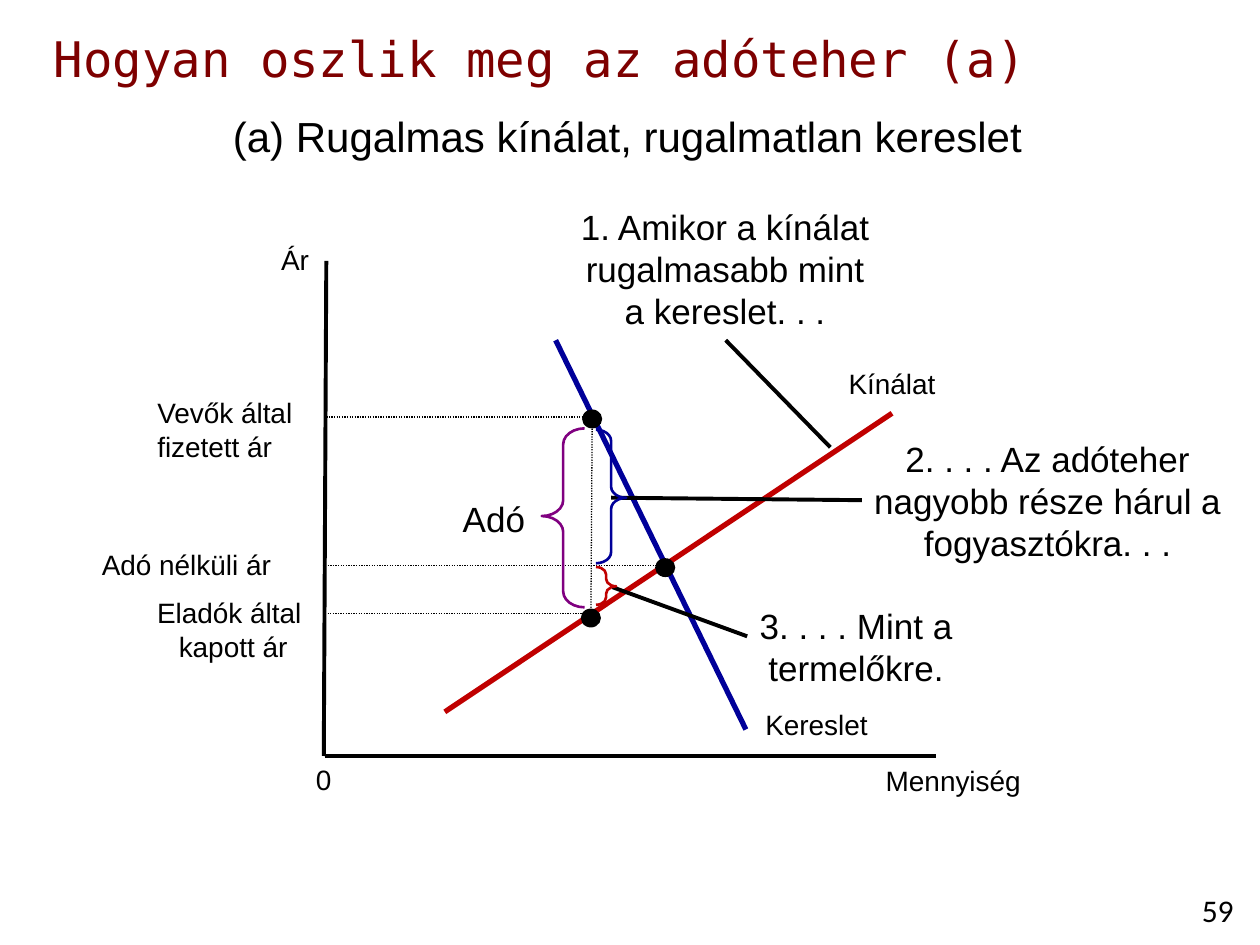
import pptx
import pptx.util
import pptx.dml.color
import pptx.enum.dml
import pptx.enum.shapes
import pptx.enum.text
import pptx.oxml.ns
import lxml.etree

Inches, Pt = pptx.util.Inches, pptx.util.Pt
SHAPE = pptx.enum.shapes.MSO_SHAPE
ALIGN = pptx.enum.text.PP_ALIGN
ANCHOR = pptx.enum.text.MSO_ANCHOR
FIT = pptx.enum.text.MSO_AUTO_SIZE.SHAPE_TO_FIT_TEXT
DOTS = pptx.enum.dml.MSO_LINE.ROUND_DOT
SIDES = {"l": ALIGN.LEFT, "c": ALIGN.CENTER, "r": ALIGN.RIGHT}

COLORS = {"ink": "000000", "paper": "FFFFFF", "title": "7E0000",
          "demand": "000099", "supply": "C00000", "tax": "800080"}


def tint(name):
    return pptx.dml.color.RGBColor.from_string(COLORS[name])


def put(item, values):
    for key, value in values.items():
        setattr(item, key, value)


def spot(box, left, top, wide, high):
    """Lengths for a part placed relative to its box."""
    return [Inches(n) for n in (box[0] + left, box[1] + top, wide, high)]


def text(slide, box, area, words, size=16, side="l", wrap=True,
         font="Arial", color="ink", **extra):
    frame = slide.shapes.add_textbox(*spot(box, *area)).text_frame
    put(frame, {"word_wrap": wrap, "auto_size": FIT, **extra})
    frame.text = words
    for para in frame.paragraphs:
        para.alignment = SIDES[side]
        put(para.runs[0].font, {"name": font, "size": Pt(size)})
        para.runs[0].font.color.rgb = tint(color)


def line(slide, box, ends, color="ink", width=2.25, dash=None):
    x, y = box[:2]
    places = [Inches(n) for n in (x + ends[0], y + ends[1], x + ends[2], y + ends[3])]
    link = slide.shapes.add_connector(pptx.enum.shapes.MSO_CONNECTOR.STRAIGHT, *places)
    put(link.line, {"width": Pt(width), "dash_style": dash})
    link.line.color.rgb = tint(color)
    lxml.etree.SubElement(link._element.spPr, pptx.oxml.ns.qn("a:effectLst"))


def shape(slide, box, area, kind, fill=None, edge=None, width=1.5):
    item = slide.shapes.add_shape(kind, *spot(box, *area))
    item.shadow.inherit = False
    if fill:
        item.fill.solid()
        item.fill.fore_color.rgb = tint(fill)
    else:
        item.fill.background()
    if edge:
        item.line.width = Pt(width)
        item.line.color.rgb = tint(edge)
    else:
        item.line.fill.background()
    return item


def brace(slide, box, area, color, turn=0):
    item = shape(slide, box, area, SHAPE.LEFT_BRACE, edge=color)
    item.rotation = turn
    item.adjustments[0], item.adjustments[1] = 0.37, 0.49


def head(slide, box):
    text(slide, box, (0, 0, box[2], 0.58), "Hogyan oszlik meg az adóteher (a)",
         28, font="DejaVu Sans Mono", color="title",
         auto_size=None, vertical_anchor=ANCHOR.MIDDLE)
    text(slide, box, (1.42, 0.66, 6.53, 0.5),
         "(a) Rugalmas kínálat, rugalmatlan kereslet", 24, wrap=False)


def graph(slide, box):
    # Plot area and axes
    shape(slide, box, (2.09, 0.65, 4.84, 3.83), SHAPE.RECTANGLE, "paper", "paper", 2)
    line(slide, box, (2.09, 0.57, 2.07, 4.5))
    line(slide, box, (2.08, 4.5, 6.93, 4.5))
    text(slide, box, (1.24, 0.38, 0.81, 0.37), "Ár", side="r")
    text(slide, box, (6.34, 4.51, 1.36, 0.37), "Mennyiség", side="r")
    text(slide, box, (1.91, 4.5, 0.33, 0.37), "0", wrap=False)

    # Demand and supply
    curves = [
        ("Kereslet", "demand", (3.91, 1.2, 5.42, 4.29), (5.47, 4.07, 1.02, 0.37)),
        ("Kínálat", "supply", (3.03, 4.15, 6.58, 1.78), (6.13, 1.36, 0.9, 0.37)),
    ]
    for name, color, ends, area in curves:
        line(slide, box, ends, color, 3)
        text(slide, box, area, name, side="c", wrap=False)

    # Price levels
    line(slide, box, (4.2, 1.84, 4.19, 3.37), width=0.75, dash=DOTS)
    levels = [
        ("Vevők által\nfizetett ár", "l", (2.09, 1.81, 4.21, 1.81), (0.65, 1.59, 1.35, 0.64)),
        ("Adó nélküli ár", "l", (2.06, 2.99, 4.77, 2.99), (0.21, 2.8, 1.56, 0.37)),
        ("Eladók által \nkapott ár", "c", (2.1, 3.37, 4.2, 3.37), (0.64, 3.18, 1.42, 0.64)),
    ]
    for name, side, ends, area in levels:
        line(slide, box, ends, width=0.75, dash=DOTS)
        text(slide, box, area, name, side=side, wrap=False)

    # Tax wedge and market points
    text(slide, box, (3.01, 2.4, 0.82, 0.44), "Adó", 20, "c")
    brace(slide, box, (3.8, 1.9, 0.34, 1.42), "tax")
    for left, top in ((4.7, 2.93), (4.12, 1.75), (4.11, 3.33)):
        shape(slide, box, (left, top, 0.16, 0.15), SHAPE.OVAL, "ink")


def notes(slide, box):
    # Remarks with their pointers
    items = [
        ("1. Amikor a kínálat rugalmasabb mint a kereslet. . .",
         (3.97, 0.08, 2.57, 1.11), (5.26, 1.2, 6.09, 2.05)),
        ("2. . . . Az adóteher nagyobb része hárul a fogyasztókra. . .",
         (6.13, 1.92, 3.37, 1.11), (4.35, 2.45, 6.34, 2.47)),
        ("3. . . . Mint a termelőkre.",
         (5.08, 3.25, 2.43, 0.77), (4.36, 3.16, 5.43, 3.55)),
    ]
    for words, area, ends in items:
        text(slide, box, area, words, 20, "c")
        line(slide, box, ends)

    # Shares of buyers and sellers
    brace(slide, box, (4.23, 1.91, 0.24, 1.06), "demand", 180)
    brace(slide, box, (4.23, 3, 0.16, 0.3), "supply", 180)


def foot(slide, box):
    text(slide, box, (0, 0, box[2], box[3]), "59", 18, "c", font="Calibri",
         auto_size=None, vertical_anchor=ANCHOR.MIDDLE)


def main():
    deck = pptx.Presentation()
    put(deck, {"slide_width": Inches(10), "slide_height": Inches(7.5)})
    slide = deck.slides.add_slide(deck.slide_layouts[6])
    field = (0.5, 1.5, 9.5, 5)
    head(slide, (0.33, 0.17, 9.67, 1.16))
    graph(slide, field)
    notes(slide, field)
    foot(slide, (9.33, 7.02, 0.67, 0.4))
    deck.save("out.pptx")


if __name__ == "__main__":
    main()
